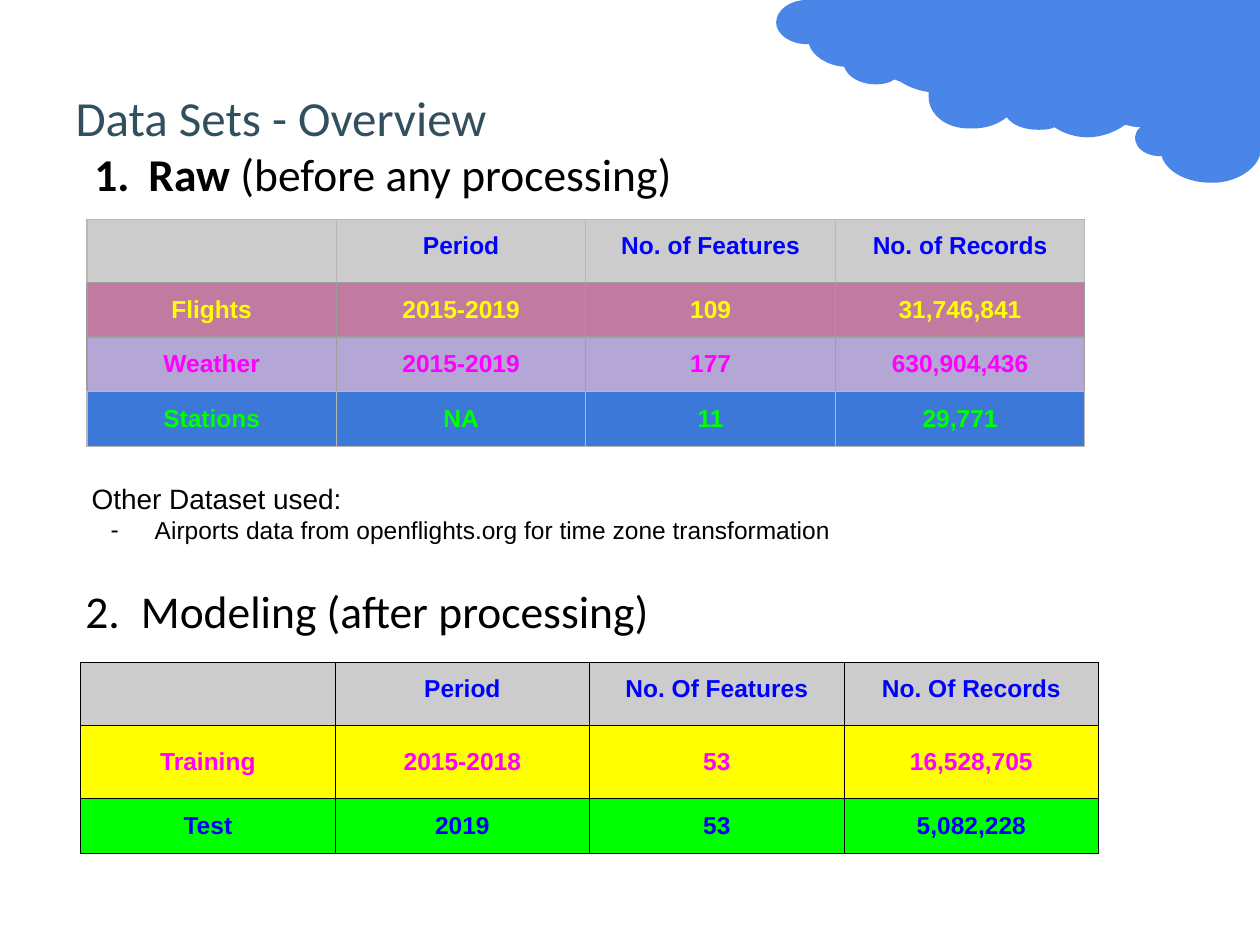
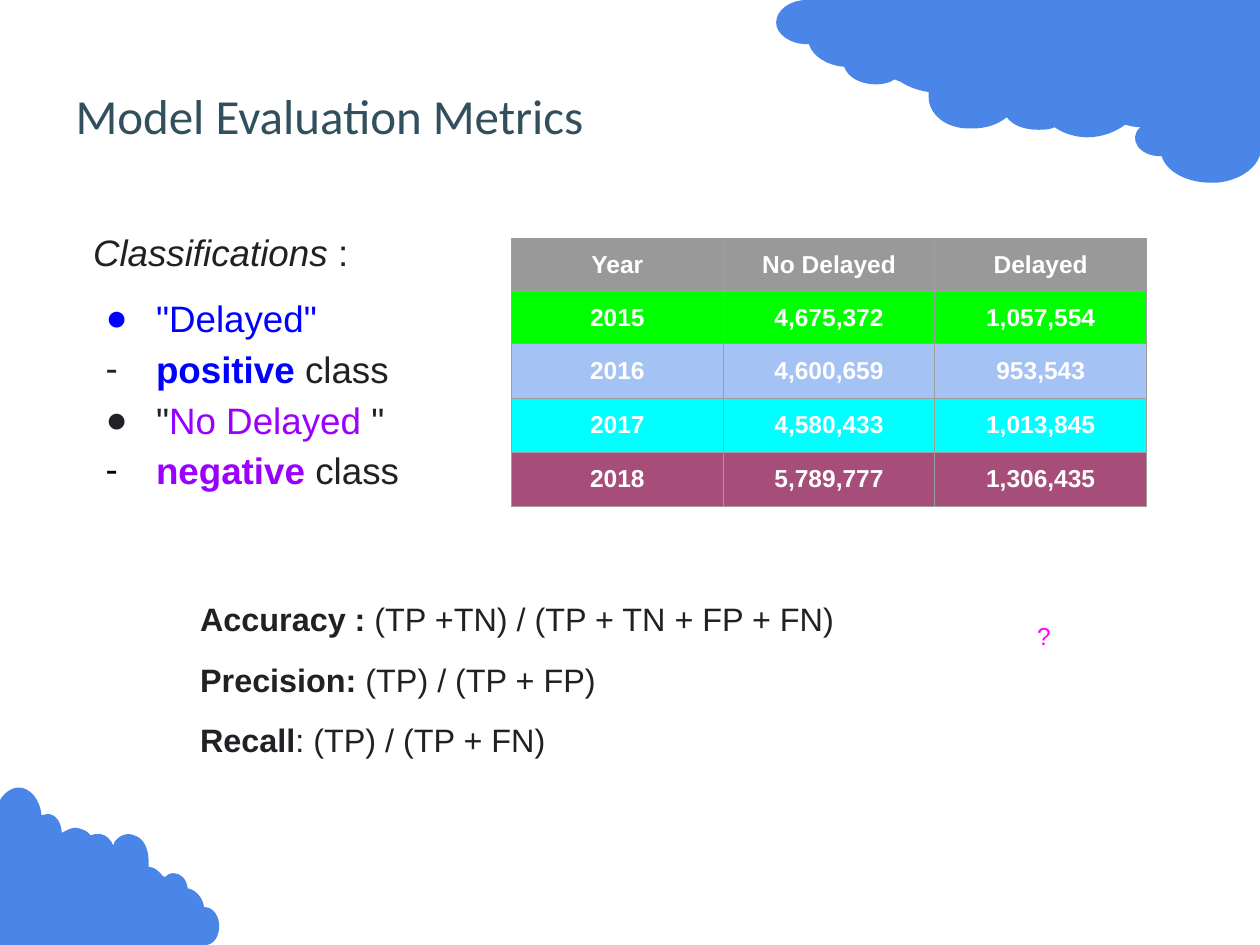
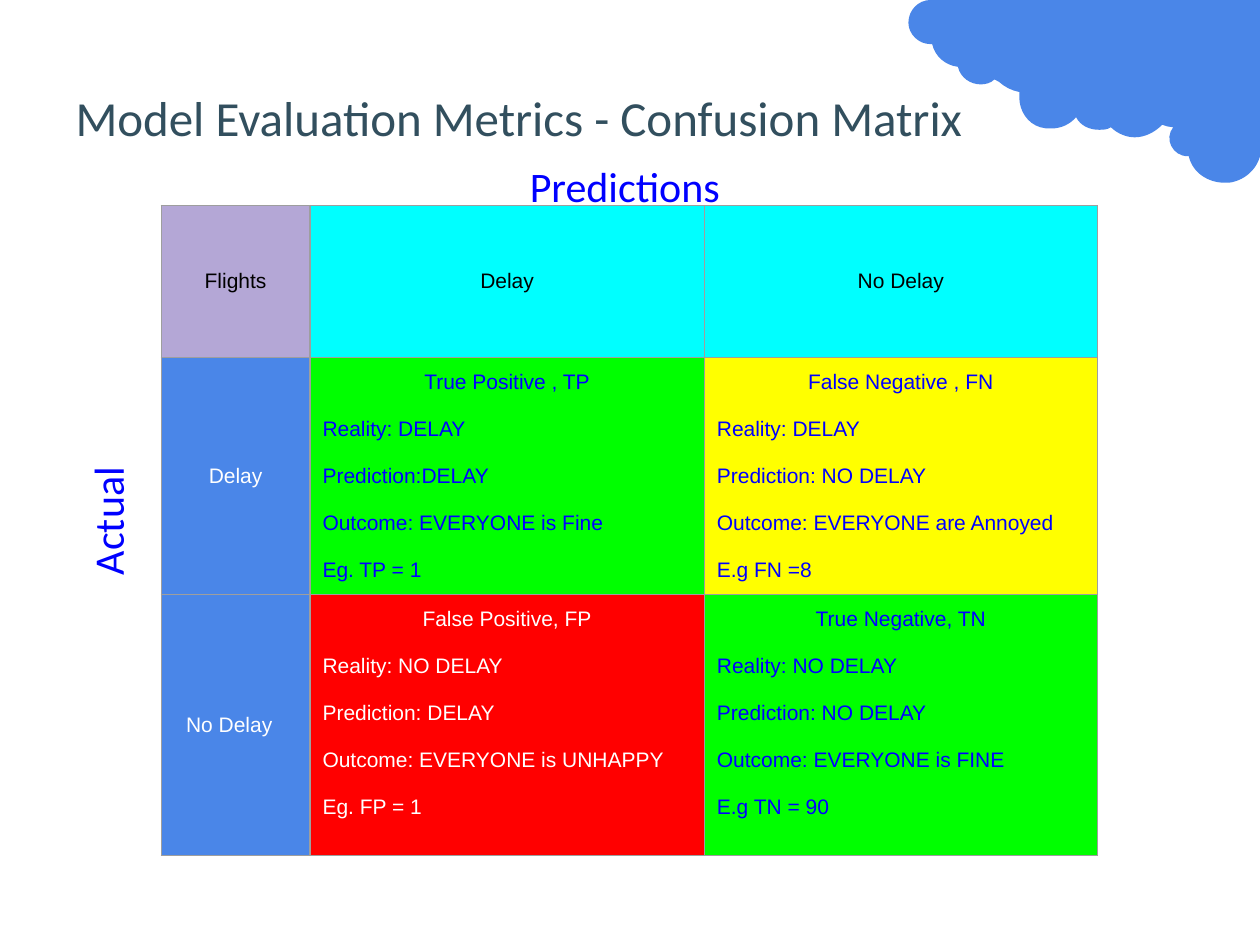
from collections import namedtuple

from lxml.etree import SubElement
from pptx import Presentation
from pptx.dml.color import RGBColor
from pptx.enum.text import MSO_ANCHOR as Anchor, MSO_AUTO_SIZE as AutoSize, PP_ALIGN as Align
from pptx.oxml.ns import qn
from pptx.util import Inches, Pt

SLATE = RGBColor(0x32, 0x4F, 0x5E)
SKY = RGBColor(0x4A, 0x86, 0xE8)
BLACK = RGBColor(0x00, 0x00, 0x00)
INK = RGBColor(0x20, 0x21, 0x24)
WHITE = RGBColor(0xFF, 0xFF, 0xFF)
BLUE = RGBColor(0x00, 0x00, 0xFF)
GREEN = RGBColor(0x00, 0xFF, 0x00)
YELLOW = RGBColor(0xFF, 0xFF, 0x00)
MAGENTA = RGBColor(0xFF, 0x00, 0xFF)
CYAN = RGBColor(0x00, 0xFF, 0xFF)
RED = RGBColor(0xFF, 0x00, 0x00)
VIOLET = RGBColor(0x99, 0x00, 0xFF)
ROSE = RGBColor(0xC2, 0x7B, 0xA0)
PLUM = RGBColor(0xA6, 0x4D, 0x79)
LAVENDER = RGBColor(0xB4, 0xA7, 0xD6)
ROYAL = RGBColor(0x3C, 0x78, 0xD8)
PALE_BLUE = RGBColor(0xA4, 0xC2, 0xF4)
HEADER_GRAY = RGBColor(0xCC, 0xCC, 0xCC)
DARK_GRAY = RGBColor(0x99, 0x99, 0x99)
RULE_GRAY = RGBColor(0x9E, 0x9E, 0x9E)
LIGHT_RULE = RGBColor(0xB7, 0xB7, 0xB7)

Span = namedtuple("Span", "text size color bold italic", defaults=(14, BLACK, False, False))
Line = namedtuple("Line", "spans bullet bullet_color left hanging", defaults=(None, BLACK, 0, 0))
Cell = namedtuple("Cell", "text fill color border")

# Each outline lists corners (x, y) and cubic curves (control, control, end) in inches
TOP_CLOUD = [
    (9.61, 1.45), (9.43, 1.45, 9.26, 1.37, 9.22, 1.24), (9.21, 1.24, 9.21, 1.24, 9.21, 1.24),
    (9.04, 1.24, 8.95, 1.1, 9.05, 1.01),
    (9.01, 1.01, 8.97, 1, 8.93, 0.99), (8.85, 1.05, 8.74, 1.09, 8.63, 1.09),
    (8.54, 1.09, 8.44, 1.06, 8.37, 1.01), (8.33, 1.03, 8.28, 1.03, 8.24, 1.03),
    (8.14, 1.03, 8.04, 1, 7.99, 0.93), (7.92, 0.99, 7.82, 1.02, 7.72, 1.02),
    (7.68, 1.02, 7.64, 1.02, 7.6, 1.01), (7.46, 0.98, 7.37, 0.88, 7.37, 0.77),
    (7.37, 0.76, 7.37, 0.74, 7.37, 0.73), (7.29, 0.72, 7.21, 0.69, 7.15, 0.65),
    (7.13, 0.64, 7.12, 0.64, 7.1, 0.63), (7.06, 0.66, 7, 0.67, 6.95, 0.67),
    (6.84, 0.67, 6.73, 0.62, 6.7, 0.53), (6.57, 0.52, 6.45, 0.45, 6.42, 0.35),
    (6.41, 0.35, 6.41, 0.35, 6.4, 0.35), (6.27, 0.35, 6.16, 0.27, 6.16, 0.18),
    (6.16, 0.08, 6.27, 0, 6.4, 0), (10.01, 0), (10.01, 1.17),
    (10.01, 1.31, 9.86, 1.43, 9.66, 1.45), (9.64, 1.45, 9.62, 1.45, 9.61, 1.45),
]
CORNER_CLOUD = [
    (0.15, 6.25), (0.15, 6.25, 0.14, 6.25, 0.14, 6.25),
    (0.04, 6.26, -0.04, 6.37, -0.04, 6.5), (-0.04, 7.5), (1.63, 7.5),
    (1.69, 7.5, 1.74, 7.44, 1.74, 7.35), (1.74, 7.27, 1.69, 7.2, 1.63, 7.2),
    (1.63, 7.2, 1.63, 7.2, 1.62, 7.2),
    (1.61, 7.12, 1.55, 7.06, 1.49, 7.05), (1.48, 6.97, 1.43, 6.93, 1.38, 6.93),
    (1.35, 6.93, 1.33, 6.94, 1.31, 6.96), (1.3, 6.96, 1.29, 6.95, 1.29, 6.95),
    (1.26, 6.91, 1.22, 6.88, 1.18, 6.88), (1.18, 6.87, 1.18, 6.86, 1.18, 6.85),
    (1.18, 6.85, 1.18, 6.84, 1.18, 6.84),
    (1.18, 6.75, 1.15, 6.67, 1.09, 6.64), (1.07, 6.63, 1.04, 6.62, 1.02, 6.62),
    (0.98, 6.62, 0.94, 6.64, 0.91, 6.68), (0.91, 6.69, 0.9, 6.7, 0.9, 6.71),
    (0.89, 6.7, 0.89, 6.69, 0.89, 6.69), (0.87, 6.66, 0.85, 6.64, 0.83, 6.63),
    (0.82, 6.62, 0.81, 6.62, 0.8, 6.62), (0.79, 6.62, 0.78, 6.62, 0.78, 6.62),
    (0.76, 6.62, 0.74, 6.62, 0.72, 6.63),
    (0.71, 6.62, 0.71, 6.62, 0.7, 6.61), (0.69, 6.6, 0.68, 6.59, 0.67, 6.59),
    (0.65, 6.58, 0.62, 6.57, 0.6, 6.57), (0.56, 6.57, 0.53, 6.59, 0.49, 6.61),
    (0.49, 6.53, 0.44, 6.46, 0.38, 6.46), (0.36, 6.46, 0.35, 6.46, 0.33, 6.47),
    (0.32, 6.35, 0.24, 6.25, 0.15, 6.25),
]
CLOUD_RIGHT = 10.01
NARROW = 2.8 / 3.85
TABLE_FRAME = Inches(3.28)


def add_box(page, place, lines, font="Arial", align=Align.LEFT):
    """Add a text box; a bullet such as "1." becomes automatic numbering."""
    box = page.shapes.add_textbox(*map(Inches, place))
    frame = box.text_frame
    frame.word_wrap = True
    frame.margin_left = frame.margin_right = frame.margin_top = frame.margin_bottom = Inches(0.1)
    for index, line in enumerate(lines):
        para = frame.add_paragraph() if index else frame.paragraphs[0]
        para.alignment = align
        for part in line.spans:
            span = para.add_run()
            span.text = part.text
            span.font.name = font
            span.font.size = Pt(part.size)
            span.font.color.rgb = part.color
            span.font.bold = part.bold
            span.font.italic = part.italic
        props = para._p.get_or_add_pPr()
        props.set("marL", str(Inches(line.left)))
        props.set("indent", str(-Inches(line.hanging)))
        if line.bullet:
            tint = SubElement(props, qn("a:buClr"))
            SubElement(tint, qn("a:srgbClr"), val=str(line.bullet_color))
            if line.bullet.endswith("."):
                SubElement(props, qn("a:buAutoNum"), type="arabicPeriod")
            else:
                SubElement(props, qn("a:buFont"), typeface="Arial")
                SubElement(props, qn("a:buChar"), char=line.bullet)
    return box


def add_grid(page, left, top, widths, heights, rows, size=14, bold=True, header_anchor=Anchor.TOP):
    """Add a table; the first line of a cell is centred, further lines are left-aligned."""
    table = page.shapes.add_table(len(rows), len(widths), Inches(left), Inches(top),
                                  TABLE_FRAME, TABLE_FRAME).table
    for column, width in zip(table.columns, widths):
        column.width = Inches(width)
    for r, (height, row) in enumerate(zip(heights, rows)):
        table.rows[r].height = Inches(height)
        for c, content in enumerate(row):
            cell = table.cell(r, c)
            cell.margin_left = cell.margin_right = cell.margin_top = cell.margin_bottom = Inches(0.1)
            texts = content.text.split("\n")
            cell.vertical_anchor = Anchor.MIDDLE if r else header_anchor
            if len(texts) > 1:
                cell.vertical_anchor = Anchor.TOP
            for index, text in enumerate(texts):
                para = cell.text_frame.add_paragraph() if index else cell.text_frame.paragraphs[0]
                para.alignment = Align.LEFT if index else Align.CENTER
                if index:
                    para.space_before = Pt(13.4)
                if text:
                    span = para.add_run()
                    span.text = text
                    span.font.name = "Arial"
                    span.font.size = Pt(size)
                    span.font.bold = bold
                    span.font.color.rgb = content.color
            props = cell._tc.get_or_add_tcPr()
            for side in ("a:lnL", "a:lnR", "a:lnT", "a:lnB"):
                rule = SubElement(props, qn(side), w=str(Pt(0.75)))
                paint = SubElement(rule, qn("a:solidFill"))
                SubElement(paint, qn("a:srgbClr"), val=str(content.border))
            cell.fill.solid()
            cell.fill.fore_color.rgb = content.fill
    return table


deck = Presentation()
deck.slide_width = Inches(10)
deck.slide_height = Inches(7.5)

pages = []
for heading, top in [("Data Sets - Overview", 0.3), ("Model Evaluation Metrics", 0.29),
                     ("Model Evaluation Metrics - Confusion Matrix", 0.3)]:
    page = deck.slides.add_slide(deck.slide_layouts[5])
    title = page.shapes.title
    title.left, title.top, title.width, title.height = map(Inches, (0.5, top, 9, 1.25))
    title.text_frame.auto_size = AutoSize.NONE
    title.text_frame.vertical_anchor = Anchor.MIDDLE
    para = title.text_frame.paragraphs[0]
    para.alignment = Align.LEFT
    span = para.add_run()
    span.text = heading
    span.font.name = "Calibri"
    span.font.size = Pt(28)
    span.font.color.rgb = SLATE
    pages.append(page)
overview, metrics, confusion = pages

# Data sets
add_box(overview, (0.63, 3.72, 9, 0.74), [
    Line([Span("Other Dataset used:", 16)]),
    Line([Span("Airports data from openflights.org for time zone transformation")], "-", BLACK, 0.5, 0.35),
])
add_box(overview, (0.58, 1.06, 8.03, 0.94), [
    Line([Span("Raw", 26, bold=True), Span(" (before any processing)", 26)], "1.", BLACK, 0.5, 0.43),
], "Calibri")
add_box(overview, (0.58, 4.53, 8.03, 0.62), [
    Line([Span("2.\tModeling (after processing)", 26)], left=0.44, hanging=0.44),
], "Calibri")

modeling_rows = [
    (HEADER_GRAY, BLUE, BLACK, ["", "Period", "No. Of Features", "No. Of Records"]),
    (YELLOW, MAGENTA, BLACK, ["Training", "2015-2018", "53", "16,528,705"]),
    (GREEN, BLUE, BLACK, ["Test", "2019", "53", "5,082,228"]),
]
raw_rows = [
    (HEADER_GRAY, BLUE, LIGHT_RULE, ["", "Period", "No. of Features", "No. of Records"]),
    (ROSE, YELLOW, RULE_GRAY, ["Flights", "2015-2019", "109", "31,746,841"]),
    (LAVENDER, MAGENTA, RULE_GRAY, ["Weather", "2015-2019", "177", "630,904,436"]),
    (ROYAL, GREEN, LIGHT_RULE, ["Stations", "NA", "11", "29,771"]),
]
year_rows = [
    (DARK_GRAY, WHITE, RULE_GRAY, ["Year", "No Delayed", "Delayed"]),
    (GREEN, WHITE, RULE_GRAY, ["2015", "4,675,372", "1,057,554"]),
    (PALE_BLUE, WHITE, RULE_GRAY, ["2016", "4,600,659", "953,543"]),
    (CYAN, WHITE, RULE_GRAY, ["2017", "4,580,433", "1,013,845"]),
    (PLUM, WHITE, RULE_GRAY, ["2018", "5,789,777", "1,306,435"]),
]
for page, left, top, widths, heights, rows in [
    (overview, 0.64, 5.26, [2.02] * 4, [0.42, 0.58, 0.42], modeling_rows),
    (overview, 0.69, 1.74, [1.98] * 4, [0.42] * 4, raw_rows),
    (metrics, 4.06, 1.89, [1.68] * 3, [0.42] * 2 + [0.43] * 3, year_rows),
]:
    cells = [[Cell(text, fill, color, border) for text in texts] for fill, color, border, texts in rows]
    add_grid(page, left, top, widths, heights, cells)

# Evaluation metrics
classes = add_box(metrics, (0.64, 1.67, 4.06, 2.47), [
    Line([Span("Classifications ", 21, INK, italic=True), Span(":", 21, INK)]),
    Line([Span('"Delayed"', 21, BLUE)], "●", BLUE, 0.5, 0.4),
    Line([Span("positive", 21, BLUE, True), Span(" class", 21, INK)], "-", INK, 0.5, 0.4),
    Line([Span('"', 21, INK), Span("No Delayed ", 21, VIOLET), Span('"', 21, INK)], "●", INK, 0.5, 0.4),
    Line([Span("negative", 21, VIOLET, True), Span(" class", 21, INK)], "-", BLACK, 0.5, 0.4),
])
formulas = add_box(metrics, (1.24, 4.61, 6.17, 1.86), [
    Line([Span(name, 18.5, INK, True), Span(formula, 18.5, INK)], left=0.5, hanging=0.25)
    for name, formula in [("Accuracy :", " (TP +TN) / (TP + TN + FP + FN)"),
                          ("Precision:", " (TP) / (TP + FP)"),
                          ("Recall", ": (TP) / (TP + FN)")]
])
for box in (classes, formulas):
    for para in box.text_frame.paragraphs:
        para.line_spacing = 1.15
for para in classes.text_frame.paragraphs[:2] + formulas.text_frame.paragraphs:
    para.space_before = Pt(9)
question = add_box(metrics, (7.86, 4.88, 0.85, 1.33), [Line([Span("?", color=MAGENTA)])], align=Align.CENTER)
question.text_frame.margin_top = Inches(0.05)

# Confusion matrix
matrix_cells = [
    [("Flights", LAVENDER, BLACK), ("Delay", CYAN, BLACK), ("No Delay", CYAN, BLACK)],
    [("Delay", SKY, WHITE),
     ("True Positive , TP\nReality: DELAY\nPrediction:DELAY\n"
      "Outcome: EVERYONE is Fine\nEg. TP = 1", GREEN, BLUE),
     ("False Negative , FN\nReality: DELAY\nPrediction: NO DELAY\n"
      "Outcome: EVERYONE are Annoyed\nE.g FN =8", YELLOW, BLUE)],
    [("No Delay", SKY, WHITE),
     ("False Positive, FP\nReality: NO DELAY\nPrediction: DELAY\n"
      "Outcome: EVERYONE is UNHAPPY\nEg. FP = 1", RED, WHITE),
     ("True Negative, TN\nReality: NO DELAY\nPrediction: NO DELAY\n"
      "Outcome: EVERYONE is FINE\nE.g TN = 90", GREEN, BLUE)],
]
matrix = add_grid(confusion, 1.28, 1.63, [1.18, 3.13, 3.12], [1.21, 1.87, 2.07],
                  [[Cell(*cell, RULE_GRAY) for cell in row] for row in matrix_cells],
                  size=12, bold=False, header_anchor=Anchor.MIDDLE)
matrix.cell(2, 0).margin_right = Inches(0.2)
for label, place, angle in [("Predictions", (3.31, 1.17, 3.3, 0.55), 0),
                            ("Actual", (-0.37, 3.74, 2.63, 0.79), 270)]:
    box = add_box(confusion, place, [Line([Span(label, 24, BLUE)])], "Calibri", Align.CENTER)
    box.rotation = angle

# Clouds: straight segments first, then the curved ones become cubic curves
for page, outline, stretch in [(metrics, CORNER_CLOUD, 1), (overview, TOP_CLOUD, 1),
                               (metrics, TOP_CLOUD, 1), (confusion, TOP_CLOUD, NARROW)]:
    segments = []
    for segment in outline:
        xs = [Inches(CLOUD_RIGHT - (CLOUD_RIGHT - x) * stretch) for x in segment[::2]]
        segments.append(list(zip(xs, map(Inches, segment[1::2]))))
    corners = [segment[-1] for segment in segments]
    builder = page.shapes.build_freeform(*corners[0])
    builder.add_line_segments(corners[1:], close=False)
    cloud = builder.convert_to_shape()
    edges = list(cloud._element.iter(qn("a:lnTo")))
    for edge, segment in zip(edges, segments[1:]):
        if len(segment) == 3:
            edge.tag = qn("a:cubicBezTo")
            edge.remove(edge[0])
            for x, y in segment:
                SubElement(edge, qn("a:pt"), x=str(x - cloud.left), y=str(y - cloud.top))
    SubElement(edges[-1].getparent(), qn("a:close"))
    cloud.shadow.inherit = False
    cloud.fill.solid()
    cloud.fill.fore_color.rgb = SKY
    cloud.line.fill.background()

deck.save("out.pptx")
